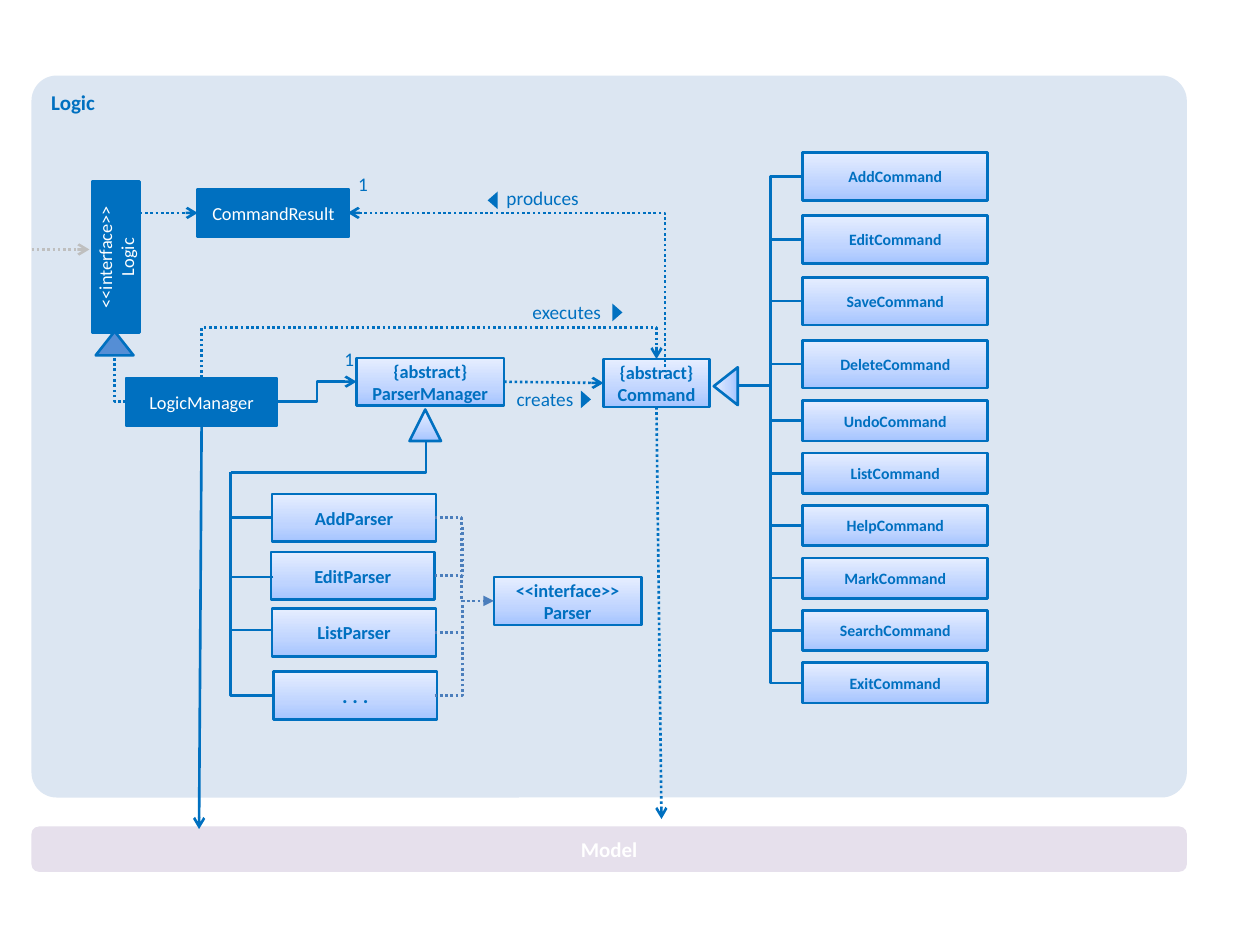
from pptx import Presentation
from pptx.dml.color import RGBColor
from pptx.enum.dml import MSO_LINE
from pptx.enum.shapes import MSO_CONNECTOR, MSO_SHAPE
from pptx.enum.text import MSO_ANCHOR, PP_ALIGN
from pptx.oxml import parse_xml
from pptx.oxml.ns import nsdecls, qn
from pptx.util import Inches, Pt
from lxml.etree import SubElement

COLORS = {
    "blue": "0070C0", "white": "FFFFFF", "panel": "DCE6F2", "model": "E6E0EC",
    "arrowhead": "558ED5", "steel": "4B7EBC", "gray": "BFBFBF",
}
GRADIENT = [(0, "A4C4FF"), (35, "BFD4FF"), (100, "E6EEFF")]


class Diagram:
    """Draws the class diagram's boxes, labels and connectors on one slide."""

    def __init__(self, slide, font="Calibri", width=1.5):
        self.s, self.font, self.width = slide, font, width

    def rgb(self, name):
        return RGBColor.from_string(COLORS[name])

    def add_text(self, tf, text, size, color, bold, align):
        tf.word_wrap = True
        for i, line in enumerate(text.split("\n")):
            p = tf.paragraphs[0] if i == 0 else tf.add_paragraph()
            p.alignment = align
            r = p.add_run()
            r.text = line
            r.font.name, r.font.size, r.font.bold = self.font, Pt(size), bold
            r.font.color.rgb = self.rgb(color)

    def shape(self, kind, x, y, w, h, fill="gradient", line="blue", rot=0):
        sp = self.s.shapes.add_shape(kind, Inches(x), Inches(y), Inches(w), Inches(h))
        sp.shadow.inherit = False
        sp.rotation = rot
        if fill == "gradient":
            stops = "".join(f'<a:gs pos="{pos * 1000}"><a:srgbClr val="{c}"/></a:gs>' for pos, c in GRADIENT)
            sp._element.spPr.insert(2, parse_xml(
                f'<a:gradFill {nsdecls("a")} rotWithShape="1"><a:gsLst>{stops}</a:gsLst>'
                '<a:lin ang="16200000" scaled="0"/></a:gradFill>'))
        else:
            sp.fill.solid()
            sp.fill.fore_color.rgb = self.rgb(fill)
        if line:
            sp.line.color.rgb = self.rgb(line)
            sp.line.width = Pt(self.width)
        else:
            sp.line.fill.background()
        return sp

    def box(self, text, x, y, w, h=0.38, size=10.5, fill="gradient", rot=0):
        sp = self.shape(MSO_SHAPE.RECTANGLE, x, y, w, h, fill, rot=rot)
        light = fill == "gradient"
        sp.text_frame.vertical_anchor = MSO_ANCHOR.MIDDLE
        self.add_text(sp.text_frame, text, size, "blue" if light else "white", light, PP_ALIGN.CENTER)

    def panel(self, text, x, y, w, h, fill, color, align, anchor, radius=None):
        sp = self.shape(MSO_SHAPE.ROUNDED_RECTANGLE, x, y, w, h, fill, None)
        if radius:
            sp.adjustments[0] = radius
        sp.text_frame.vertical_anchor = anchor
        self.add_text(sp.text_frame, text, 12, color, True, align)

    def triangle(self, x, y, w, h, fill="gradient", line="blue", rot=0):
        self.shape(MSO_SHAPE.ISOSCELES_TRIANGLE, x, y, w, h, fill, line, rot)

    def label(self, text, x, y, w, align=PP_ALIGN.RIGHT):
        tf = self.s.shapes.add_textbox(Inches(x), Inches(y), Inches(w), Inches(0.25)).text_frame
        tf.margin_left = tf.margin_right = tf.margin_top = tf.margin_bottom = 0
        self.add_text(tf, text, 11, "blue", False, align)

    def link(self, start, end, bend=0, adj=None, head=None, dotted=False, color="blue", rot=0):
        kind = MSO_CONNECTOR.ELBOW if bend else MSO_CONNECTOR.STRAIGHT
        c = self.s.shapes.add_connector(kind, *(Inches(v) for v in (*start, *end)))
        c.line.color.rgb = self.rgb(color)
        c.line.width = Pt(self.width)
        if dotted:
            c.line.dash_style = MSO_LINE.ROUND_DOT
        spPr = c._element.spPr
        if rot:
            spPr.find(qn("a:xfrm")).set("rot", str(rot * 60000))
        geom = spPr.find(qn("a:prstGeom"))
        if bend:
            geom.set("prst", f"bentConnector{bend}")
        if adj is not None:
            SubElement(geom.find(qn("a:avLst")), qn("a:gd"), name="adj1", fmla=f"val {round(adj * 100000)}")
        if head:
            SubElement(spPr.find(qn("a:ln")), qn("a:tailEnd"), type=head)
        SubElement(spPr, qn("a:effectLst"))


prs = Presentation()
prs.slide_width, prs.slide_height = Inches(10), Inches(7.5)
s = prs.slides.add_slide(prs.slide_layouts[6])
d = Diagram(s)

d.panel("Logic", 0.25, 0.6, 9.17, 5.73, "panel", "blue", PP_ALIGN.LEFT, MSO_ANCHOR.TOP, 0.035)
d.panel("Model", 0.25, 6.56, 9.17, 0.36, "model", "white", PP_ALIGN.CENTER, MSO_ANCHOR.MIDDLE)

d.box("CommandResult", 1.57, 1.5, 1.2, fill="blue")
d.box("LogicManager", 1, 3, 1.2, fill="blue")
d.box("<<interface>>\nLogic", 0.32, 1.85, 1.2, fill="blue", rot=270)
d.box("{abstract}\nCommand", 4.79, 2.85, 0.84)
d.box("{abstract}\nParserManager", 2.83, 2.84, 1.17)
d.box("<<interface>>\nParser", 3.92, 4.58, 1.17)

d.triangle(0.76, 2.63, 0.3, 0.19, "arrowhead")
d.triangle(5.61, 2.97, 0.3, 0.19, rot=270)
d.triangle(3.25, 3.25, 0.25, 0.25)

d.link((0.25, 1.98), (0.71, 1.98), head="arrow", dotted=True, color="gray")
d.link((1.11, 1.69), (1.57, 1.69), head="arrow", dotted=True)
d.link((1, 3.19), (0.91, 2.83), 2, dotted=True)
d.link((5.27, 2.99), (2.76, 1.69), 3, -0.003, "arrow", True)
d.link((3.48, 4.73), (3.33, 1.12), 3, 2.668, "arrow", True, rot=90)
d.link((2.2, 3.19), (2.83, 3.03), 3, 0.5, "arrow")
d.link((4, 3.03), (4.79, 3.04), head="arrow", dotted=True)
d.link((5.21, 3.23), (5.25, 6.5), head="arrow", dotted=True)
d.link((1.6, 3.38), (1.58, 6.58), head="arrow")

d.label("executes", 3.97, 2.38, 0.8)
d.label("produces", 4.02, 1.48, 0.8, PP_ALIGN.LEFT)
d.label("creates", 3.94, 3.07, 0.61)
d.label("1", 2.78, 1.37, 0.14)
d.label("1", 2.67, 2.76, 0.14)
for x, y, rot in [(4.83, 2.44, 90), (3.84, 1.55, 270), (4.58, 3.13, 90)]:
    d.triangle(x, y, 0.14, 0.08, "blue", None, rot)

large = [("Add", 1.21), ("Edit", 1.71), ("Save", 2.2), ("Delete", 2.7)]
small = [(name, 3.18 + 0.416 * i)
         for i, name in enumerate(["Undo", "List", "Help", "Mark", "Search", "Exit"])]
for commands, h in [(large, 0.38), (small, 0.32)]:
    for name, y in commands:
        d.link((5.86, 3.06), (6.37, y + h / 2), 3, 0.5)
        d.box(f"{name}Command", 6.37, y, 1.47, h, 9)

d.link((1.83, 3.75), (3.38, 3.5), 2)
parsers = [("AddParser", 2.16, 3.92), ("EditParser", 2.15, 4.38),
           ("ListParser", 2.16, 4.83), (". . .", 2.17, 5.33)]
for name, x, y in parsers:
    d.box(name, x, y, 1.3, size=12 if name == ". . ." else 10.5)
for y in (4.58, 5):
    d.link((2.17, y), (1.83, y))
for y, top in [(4.11, 3.75), (5.52, 4.08)]:
    d.link((2.16, y), (1.83, top), 2)
d.link((3.45, 4.11), (3.92, 4.77), 3, 0.457, "triangle", True, "steel")
for y, top in [(4.57, 4.17), (5.02, 4.75), (5.52, 4.83)]:
    d.link((3.45, y), (3.67, top), 2, dotted=True, color="steel")

prs.save("out.pptx")
